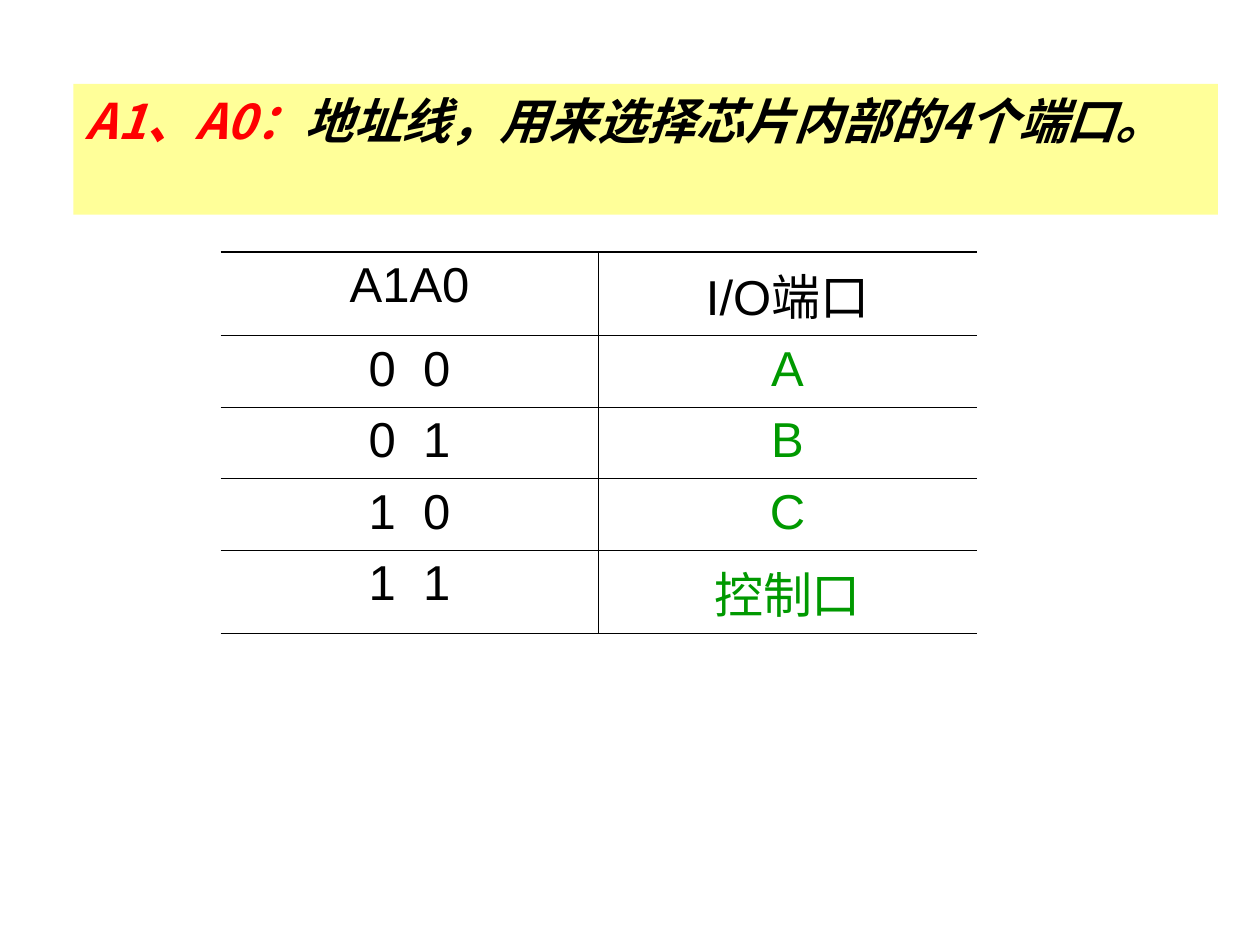
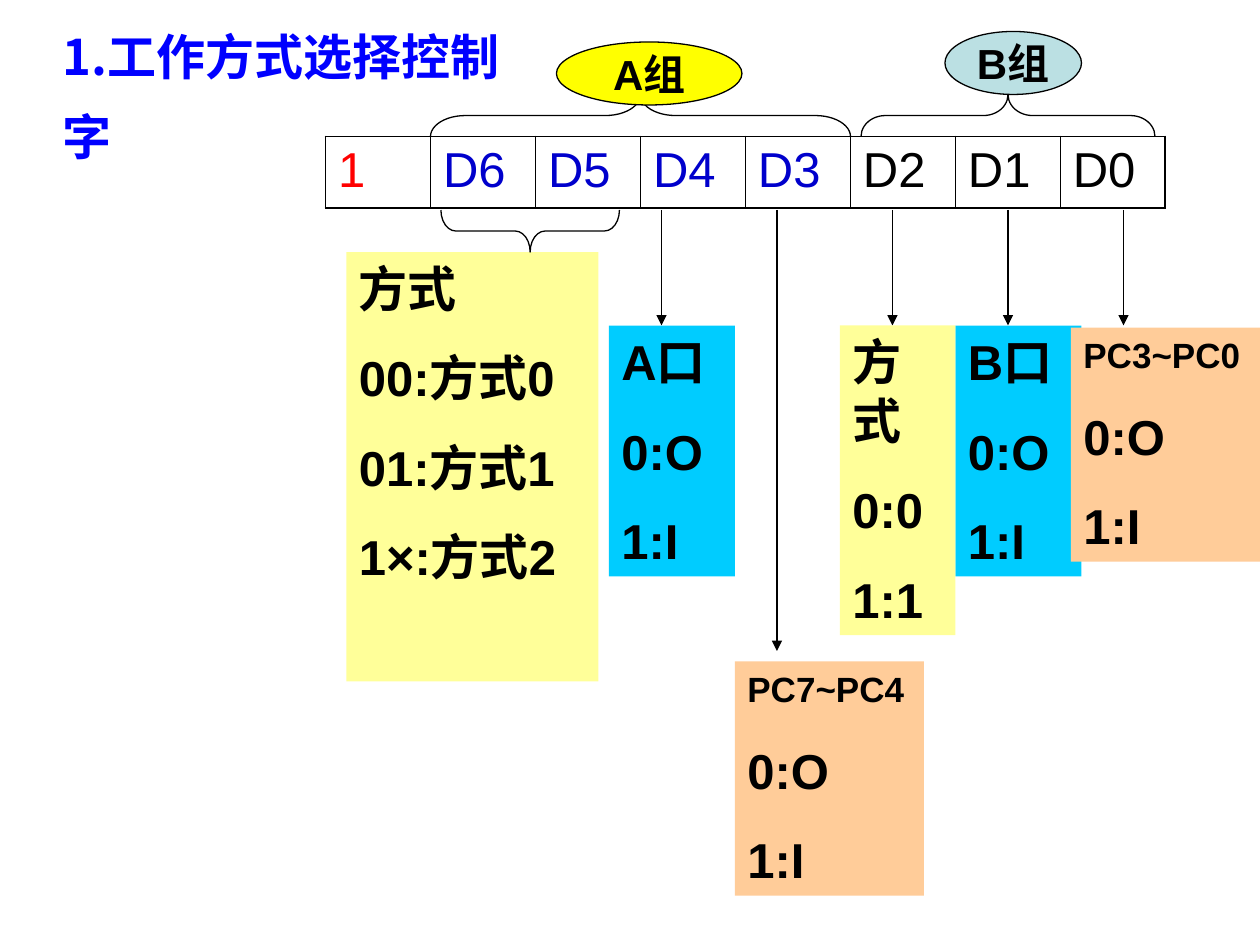
from dataclasses import dataclass
from typing import Any

import lxml.etree
import pptx
import pptx.dml.color
import pptx.enum.shapes
import pptx.enum.text
import pptx.oxml
import pptx.oxml.ns
import pptx.util

COLORS = {
    "black": "000000",
    "red": "FF0000",
    "blue": "0000FF",
    "navy": "0000CC",
    "green": "009900",
    "cream": "FFFF99",
    "yellow": "FFFF00",
    "teal": "BBE0E3",
    "cyan": "00CCFF",
    "peach": "FFCC99",
}
LATIN, CHINESE = "Arial", "Noto Sans CJK SC"
COLUMNS, ROWS = 120, 90
UNIT = pptx.util.Inches(10) / COLUMNS
TABLE_ROW = 6.82
BODY, LABEL, SMALL = 28, 24, 20
OUTER, INNER, OUTLINE = 1.08, 0.45, 0.75
SHAPES = pptx.enum.shapes.MSO_SHAPE
CENTER = pptx.enum.text.PP_ALIGN.CENTER
LEFT = pptx.enum.text.PP_ALIGN.LEFT


@dataclass(frozen=True)
class Area:
    left: float
    top: float
    width: float
    height: float

    def lengths(self) -> tuple[int, ...]:
        return tuple(round(n * UNIT) for n in (self.left, self.top, self.width, self.height))


@dataclass(frozen=True)
class Entry:
    text: str
    color: str = "black"
    spacing: float = 0


@dataclass(frozen=True)
class Group:
    name: str
    fill: str
    oval: Area
    brace: Area


@dataclass(frozen=True)
class Field:
    arrow_column: float
    arrow_end: float
    area: Area
    fill: str
    lines: tuple[str, ...]
    first_size: int = BODY


PORTS = [
    [Entry("A1A0"), Entry("I/O端口")],
    [Entry("0 0", spacing=3.9), Entry("A", "green")],
    [Entry("0 1", spacing=3.9), Entry("B", "green")],
    [Entry("1 0", spacing=3.9), Entry("C", "green")],
    [Entry("1 1", spacing=3.9), Entry("控制口", "green")],
]
CONTROL_BITS = [
    Entry("1", "red"),
    *(Entry(f"D{bit}", "navy" if bit > 2 else "black") for bit in range(6, -1, -1)),
]
GROUPS = [
    Group("B组", "teal", Area(90, 3, 13, 6), Area(82, 9, 28, 4)),
    Group("A组", "yellow", Area(53, 4, 17.67, 6), Area(41, 9, 40, 4)),
]
DIRECTIONS = ("0:O", "1:I")
FIELDS = [
    Field(96, 31, Area(91, 31, 12, 23.9), "cyan", ("B口", *DIRECTIONS)),
    Field(107, 31, Area(102, 31.2, 18, 22.3), "peach", ("PC3~PC0", *DIRECTIONS), SMALL),
    Field(85, 31, Area(80, 31, 11, 29.5), "cream", ("方式", "0:0", "1:1")),
    Field(63, 31, Area(58, 31, 12, 23.9), "cyan", ("A口", *DIRECTIONS)),
    Field(74, 62, Area(70, 63, 18, 22.3), "peach", ("PC7~PC4", *DIRECTIONS), SMALL),
]
MODES = ("方式", "00:方式0", "01:方式1", "1×:方式2")


def rgb(name: str) -> pptx.dml.color.RGBColor:
    return pptx.dml.color.RGBColor.from_string(COLORS[name])


def add_text(
    para: Any,
    text: str,
    *,
    size: float = BODY,
    color: str = "black",
    font: str = LATIN,
    bold: bool = False,
    italic: bool = False,
    spacing: float = 0,
    align: Any = LEFT,
) -> None:
    para.alignment = align
    span = para.add_run()
    span.text = text
    span.font.size = pptx.util.Pt(size)
    span.font.bold, span.font.italic = bold, italic
    span.font.color.rgb = rgb(color)
    span.font.name = font
    properties = span.font._element
    east_asian = lxml.etree.SubElement(properties, pptx.oxml.ns.qn("a:ea"))
    east_asian.set("typeface", CHINESE)
    if spacing:
        properties.set("spc", str(round(spacing * 100)))


def add_box(page: Any, area: Area, fill: str, kind: Any = SHAPES.RECTANGLE) -> Any:
    box = page.shapes.add_shape(kind, *area.lengths())
    box.shadow.inherit = False
    box.fill.solid()
    box.fill.fore_color.rgb = rgb(fill)
    box.line.fill.background()
    box.text_frame.word_wrap = True
    box.text_frame.vertical_anchor = pptx.enum.text.MSO_ANCHOR.TOP
    return box


def add_outline(shape: Any) -> None:
    shape.line.color.rgb = rgb("black")
    shape.line.width = pptx.util.Pt(OUTLINE)


def add_note(
    page: Any, area: Area, fill: str, lines: tuple[str, ...], first_size: int = BODY
) -> None:
    frame = add_box(page, area, fill).text_frame
    for index, line in enumerate(lines):
        para = frame.add_paragraph() if index else frame.paragraphs[0]
        if index:
            para.space_before = pptx.util.Pt(17.5)
        add_text(para, line, size=BODY if index else first_size, bold=True)


def add_brace(page: Any, area: Area, kind: Any) -> None:
    middle, center = area.left + area.width / 2, area.top + area.height / 2
    upright = Area(
        middle - area.height / 2, center - area.width / 2, area.height, area.width
    )
    brace = page.shapes.add_shape(kind, *upright.lengths())
    brace.rotation = 270
    brace.adjustments[0] = area.width / 12 / area.height
    brace.shadow.inherit = False
    brace.fill.background()
    add_outline(brace)


def add_arrow(page: Any, column: float, start: float, end: float) -> None:
    x, top, bottom = (round(n * UNIT) for n in (column, start, end))
    arrow = page.shapes.add_connector(
        pptx.enum.shapes.MSO_CONNECTOR.STRAIGHT, x, top, x, bottom
    )
    add_outline(arrow)
    line = arrow.line._get_or_add_ln()
    lxml.etree.SubElement(line, pptx.oxml.ns.qn("a:tailEnd")).set("type", "triangle")
    lxml.etree.SubElement(arrow._element.spPr, pptx.oxml.ns.qn("a:effectLst"))


def set_borders(cell: Any, widths: dict[str, float]) -> None:
    properties = cell._tc.get_or_add_tcPr()
    for index, (side, width) in enumerate(widths.items()):
        paint = (
            f'<a:solidFill><a:srgbClr val="{COLORS["black"]}"/></a:solidFill>'
            if width
            else "<a:noFill/>"
        )
        border = pptx.oxml.parse_xml(
            f'<a:ln{side} {pptx.oxml.ns.nsdecls("a")} '
            f'w="{pptx.util.Pt(width)}">{paint}</a:ln{side}>'
        )
        properties.insert(index, border)


def add_grid(
    page: Any, area: Area, entries: list[list[Entry]], side_width: float, align: Any
) -> None:
    height, width = len(entries), len(entries[0])
    table = page.shapes.add_table(height, width, *area.lengths()).table
    table.first_row = table.horz_banding = False
    for row, line in enumerate(entries):
        for column, entry in enumerate(line):
            cell = table.cell(row, column)
            cell.fill.background()
            set_borders(cell, {
                "L": INNER if column else side_width,
                "R": INNER if column < width - 1 else side_width,
                "T": INNER if row else OUTER,
                "B": INNER if row < height - 1 else OUTER,
            })
            add_text(
                cell.text_frame.paragraphs[0],
                entry.text,
                color=entry.color,
                spacing=entry.spacing,
                align=align,
            )


def build_ports(page: Any) -> None:
    para = add_box(page, Area(7, 8, 109, 12.45), "cream").text_frame.paragraphs[0]
    for text, color in (
        ("A1、A0：", "red"),
        ("地址线，用来选择芯片内部的4个端口。", "black"),
    ):
        add_text(para, text, color=color, font=CHINESE, bold=True, italic=True)
    add_grid(page, Area(21, 24, 72, TABLE_ROW * len(PORTS)), PORTS, 0, CENTER)


def build_control_word(page: Any) -> None:
    add_grid(page, Area(31, 13, 80, TABLE_ROW), [CONTROL_BITS], OUTER, LEFT)
    title = page.shapes.add_textbox(*Area(4.8, 0, 48.5, 8.75).lengths())
    title.text_frame.word_wrap = True
    para = title.text_frame.paragraphs[0]
    para.line_spacing = 1.35
    add_text(para, "1.工作方式选择控制字", color="blue", font=CHINESE, bold=True)
    for group in GROUPS:
        add_brace(page, group.brace, SHAPES.RIGHT_BRACE)
        oval = add_box(page, group.oval, group.fill, SHAPES.OVAL)
        add_outline(oval)
        frame = oval.text_frame
        frame.word_wrap = False
        frame.vertical_anchor = pptx.enum.text.MSO_ANCHOR.MIDDLE
        add_text(frame.paragraphs[0], group.name, size=LABEL, bold=True, align=CENTER)
    for field in FIELDS:
        add_arrow(page, field.arrow_column, 20, field.arrow_end)
        add_note(page, field.area, field.fill, field.lines, field.first_size)
    add_note(page, Area(33, 24, 24, 40.9), "cream", MODES)
    add_brace(page, Area(42, 20, 17, 4), SHAPES.LEFT_BRACE)


def main() -> None:
    """Build the two slides on the chip's ports and its control word."""
    deck = pptx.Presentation()
    deck.slide_width, deck.slide_height = round(COLUMNS * UNIT), round(ROWS * UNIT)
    for build in (build_ports, build_control_word):
        build(deck.slides.add_slide(deck.slide_layouts[6]))
    deck.save("out.pptx")


if __name__ == "__main__":
    main()
